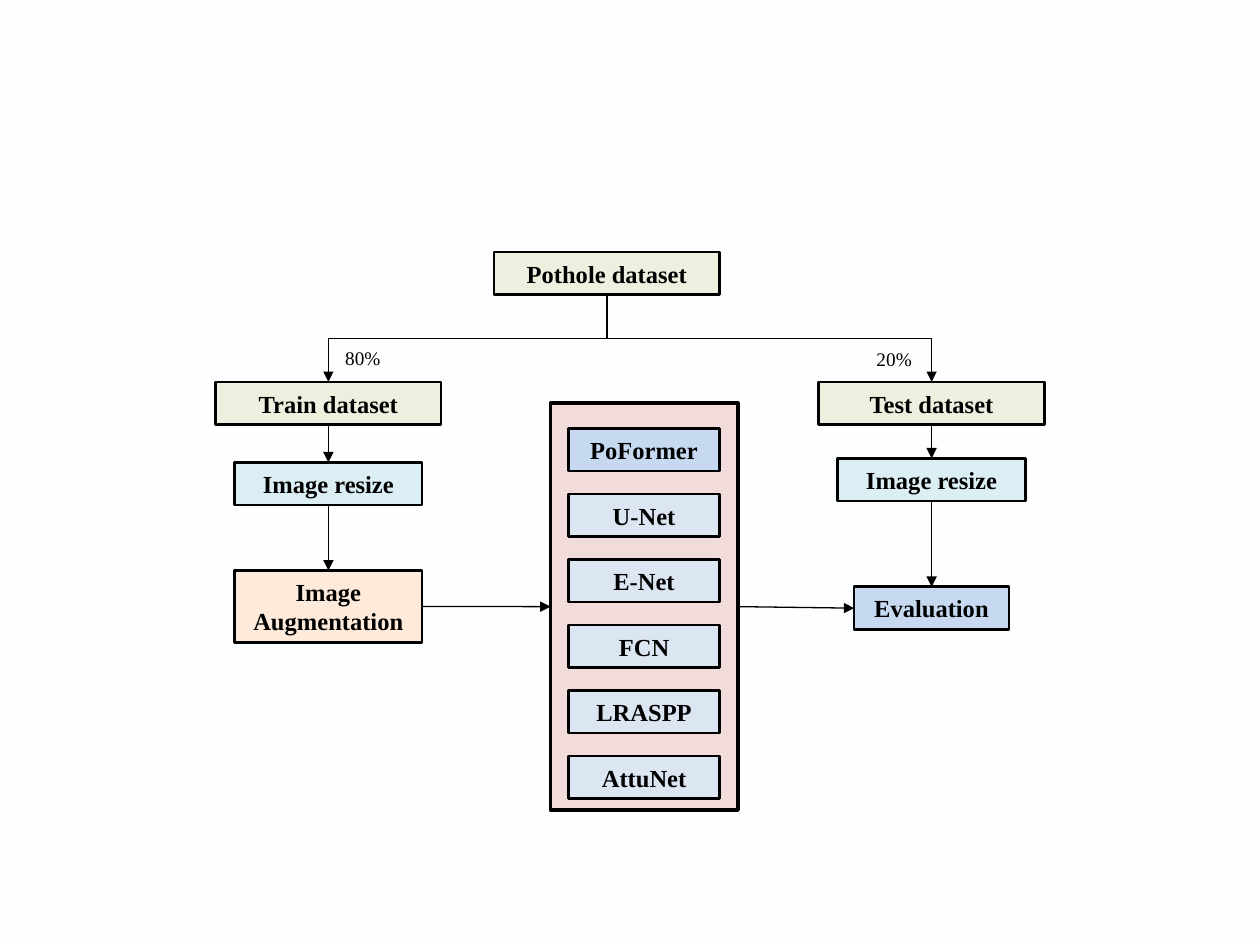
from lxml.etree import SubElement
from pptx import Presentation
from pptx.dml.color import RGBColor
from pptx.enum.shapes import MSO_CONNECTOR as Link, MSO_SHAPE as Shape
from pptx.enum.text import MSO_ANCHOR as Anchor, MSO_AUTO_SIZE as AutoSize, PP_ALIGN as Align
from pptx.oxml.ns import qn
from pptx.util import Cm, Pt

FONT = "Times New Roman"
BLACK, GREEN, CYAN = "000000", "EBF1DE", "DBEEF4"
ORANGE, PINK, BLUE, PALE_BLUE = "FDEADA", "F2DCDB", "C6D9F1", "DCE6F2"
BOX_HEIGHT = 0.86
TOP, LEFT, BOTTOM, RIGHT = range(4)


def color(hex_value):
    return RGBColor.from_string(hex_value)


def set_font(para, size, bold=False):
    para.font.name = FONT
    para.font.size = Pt(size)
    para.font.bold = bold
    para.font.color.rgb = color(BLACK)


def add_box(page, left, top, width, height, fill, text="", line_width=1.5):
    box = page.shapes.add_shape(Shape.RECTANGLE, Cm(left), Cm(top), Cm(width), Cm(height))
    box.shadow.inherit = False
    box.fill.solid()
    box.fill.fore_color.rgb = color(fill)
    box.line.color.rgb = color(BLACK)
    box.line.width = Pt(line_width)
    if text:
        frame = box.text_frame
        frame.word_wrap = True
        frame.auto_size = AutoSize.SHAPE_TO_FIT_TEXT
        frame.vertical_anchor = Anchor.MIDDLE
        para = frame.paragraphs[0]
        para.text = text
        para.alignment = Align.CENTER
        set_font(para, 14, bold=True)
    return box


def add_label(page, left, top, text):
    label = page.shapes.add_textbox(Cm(left), Cm(top), Cm(1.22), Cm(0.74))
    label.text_frame.word_wrap = False
    label.text_frame.auto_size = AutoSize.SHAPE_TO_FIT_TEXT
    para = label.text_frame.paragraphs[0]
    para.text = text
    set_font(para, 11)


def add_arrow(page, start, start_side, end, end_side, kind=Link.STRAIGHT):
    arrow = page.shapes.add_connector(kind, 0, 0, 0, 0)
    arrow.begin_connect(start, start_side)
    arrow.end_connect(end, end_side)
    arrow.line.color.rgb = color(BLACK)
    arrow.line.width = Pt(0.75)
    SubElement(arrow.line._get_or_add_ln(), qn("a:tailEnd"), type="triangle")
    SubElement(arrow._element.spPr, qn("a:effectLst"))
    return arrow


def add_branch(page, parent, child):
    """Elbow arrow that leaves the parent downwards, turned so its middle leg is level."""
    arrow = add_arrow(page, parent, BOTTOM, child, TOP, Link.ELBOW)
    start_x, start_y, end_x, end_y = arrow.begin_x, arrow.begin_y, arrow.end_x, arrow.end_y
    drop, reach = end_y - start_y, abs(end_x - start_x)
    arrow.left = (start_x + end_x - drop) // 2
    arrow.top = (start_y + end_y - reach) // 2
    arrow.width, arrow.height = drop, reach
    xfrm = arrow._element.spPr.find(qn("a:xfrm"))
    goes_right = end_x > start_x
    xfrm.set("rot", str((270 if goes_right else 90) * 60000))
    xfrm.set("flipH", "1" if goes_right else "0")


def add_column(page, center, top, steps):
    """Boxes on one center line, joined by downward arrows; returns the boxes."""
    boxes = []
    for text, offset, width, height, fill in steps:
        boxes.append(add_box(page, center - width / 2, top + offset, width, height, fill, text))
    for upper, lower in zip(boxes, boxes[1:]):
        add_arrow(page, upper, BOTTOM, lower, TOP)
    return boxes


def add_models(page, left, top, width, height, names):
    panel = add_box(page, left, top, width, height, PINK, line_width=2)
    for index, name in enumerate(names):
        fill = PALE_BLUE if index else BLUE
        add_box(page, left + 0.36, top + 0.51 + index * 1.32, 3.05, BOX_HEIGHT, fill, name)
    return panel


def build_pipeline(page):
    pothole = add_box(page, 9.96, 5.08, 4.55, BOX_HEIGHT, GREEN, "Pothole dataset")
    train = add_column(page, 6.62, 7.7, [
        ("Train dataset", 0, 4.55, BOX_HEIGHT, GREEN),
        ("Image resize", 1.62, 3.78, BOX_HEIGHT, CYAN),
        ("Image Augmentation", 3.8, 3.78, 1.45, ORANGE),
    ])
    test = add_column(page, 18.78, 7.7, [
        ("Test dataset", 0, 4.55, BOX_HEIGHT, GREEN),
        ("Image resize", 1.54, 3.78, BOX_HEIGHT, CYAN),
        ("Evaluation", 4.13, 3.12, BOX_HEIGHT, BLUE),
    ])
    models = add_models(page, 11.1, 8.13, 3.78, 8.2,
                        ["PoFormer", "U-Net", "E-Net", "FCN", "LRASPP", "AttuNet"])
    for column in (train, test):
        add_branch(page, pothole, column[0])
    add_arrow(page, train[-1], RIGHT, models, LEFT)
    add_arrow(page, models, RIGHT, test[-1], LEFT)
    add_label(page, 6.71, 6.86, "80%")
    add_label(page, 17.42, 6.88, "20%")


def main():
    deck = Presentation()
    deck.slide_width, deck.slide_height = Cm(25.4), Cm(19.05)
    page = deck.slides.add_slide(deck.slide_layouts[6])
    page.background.fill.solid()
    page.background.fill.fore_color.rgb = color("FCFEFF")
    build_pipeline(page)
    deck.save("out.pptx")


if __name__ == "__main__":
    main()
